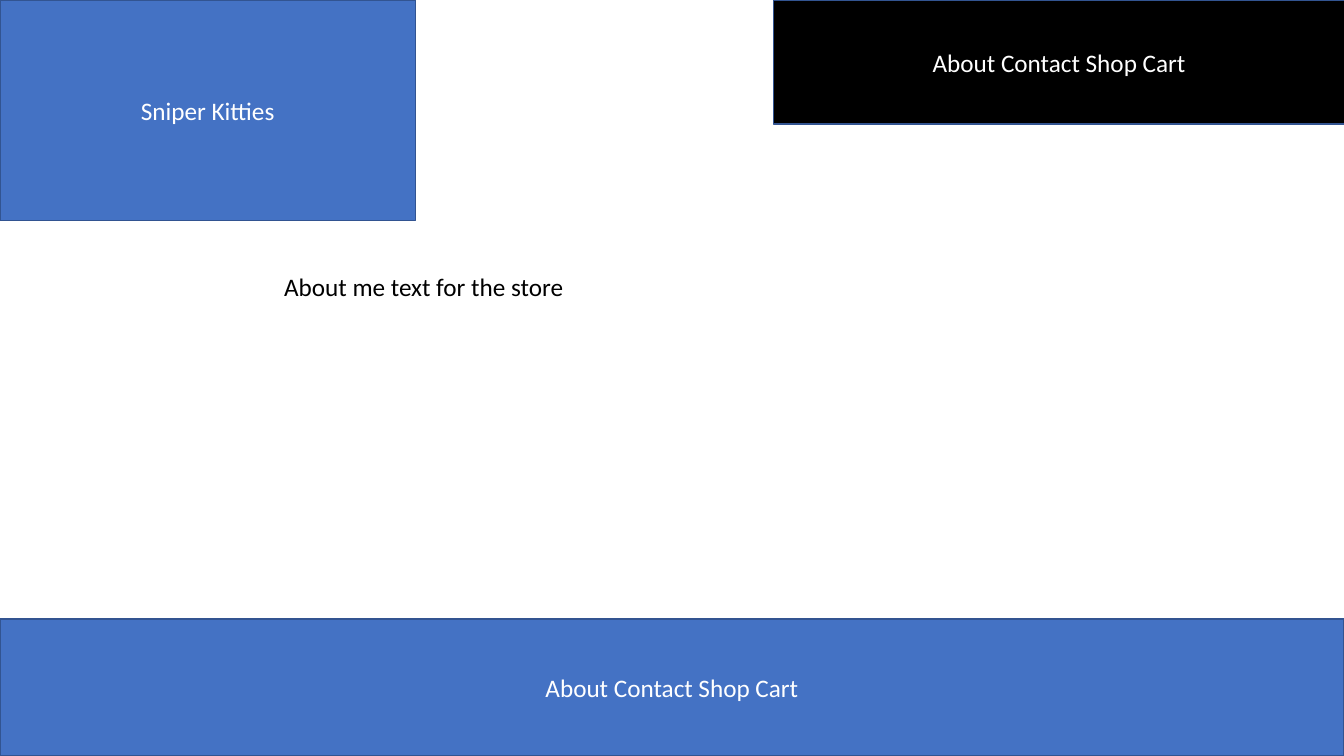
"""Build a wireframe slide for a store's About page."""
from dataclasses import dataclass

from pptx import Presentation
from pptx.dml.color import RGBColor
from pptx.enum.shapes import MSO_SHAPE
from pptx.enum.text import MSO_ANCHOR, MSO_AUTO_SIZE, PP_ALIGN
from pptx.util import Inches, Pt


@dataclass(frozen=True)
class Theme:
    blue: RGBColor = RGBColor.from_string("4472C4")
    outline: RGBColor = RGBColor.from_string("325491")
    black: RGBColor = RGBColor.from_string("000000")
    white: RGBColor = RGBColor.from_string("FFFFFF")
    font: str = "Calibri"
    size: Pt = Pt(18)
    line_width: Pt = Pt(1)


theme = Theme()
slide_width, slide_height = 13.33, 7.5
menu = "About Contact Shop Cart"
footer_height = 1.36


def write_text(shape, text, color, alignment):
    shape.text_frame.word_wrap = True
    paragraph = shape.text_frame.paragraphs[0]
    paragraph.alignment = alignment
    run = paragraph.add_run()
    run.text = text
    run.font.color.rgb = color
    for name, value in {"name": theme.font, "size": theme.size}.items():
        setattr(run.font, name, value)


presentation = Presentation()
presentation.slide_width = Inches(slide_width)
presentation.slide_height = Inches(slide_height)
slide = presentation.slides.add_slide(presentation.slide_layouts.get_by_name("Blank"))

panels = [
    ("Sniper Kitties", theme.blue, (0, 0, 4.12, 2.19)),
    (menu, theme.black, (7.67, 0, 5.67, 1.23)),
    (menu, theme.blue, (0, slide_height - footer_height, slide_width, footer_height)),
]
for text, fill, bounds in panels:
    panel = slide.shapes.add_shape(MSO_SHAPE.RECTANGLE, *map(Inches, bounds))
    panel.shadow.inherit = False
    panel.fill.solid()
    panel.fill.fore_color.rgb = fill
    panel.line.color.rgb = theme.outline
    panel.line.width = theme.line_width
    panel.text_frame.vertical_anchor = MSO_ANCHOR.MIDDLE
    write_text(panel, text, theme.white, PP_ALIGN.CENTER)

about = slide.shapes.add_textbox(*map(Inches, (2.72, 2.64, 7, 0.4)))
about.text_frame.auto_size = MSO_AUTO_SIZE.SHAPE_TO_FIT_TEXT
write_text(about, "About me text for the store", theme.black, PP_ALIGN.LEFT)

presentation.save("out.pptx")
